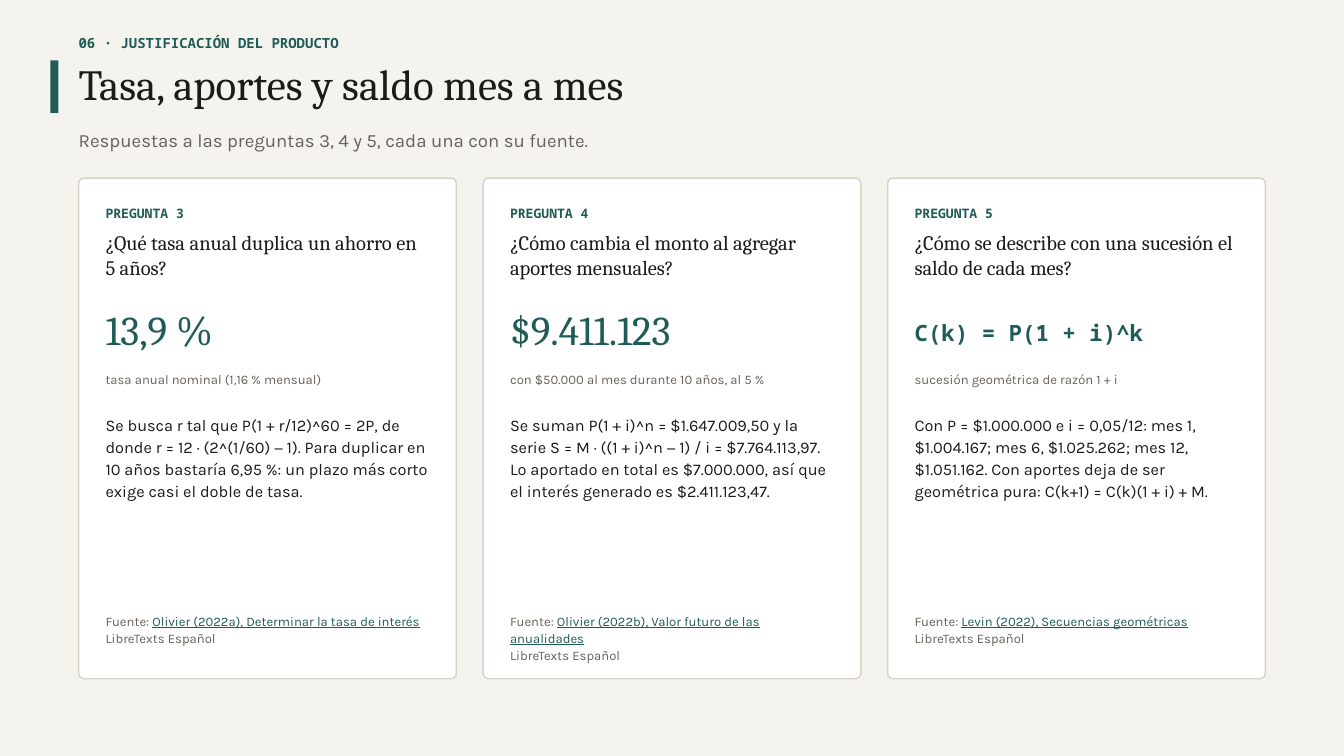
from pptx import Presentation
from pptx.dml.color import RGBColor
from pptx.enum.shapes import MSO_SHAPE
from pptx.enum.text import MSO_ANCHOR, MSO_AUTO_SIZE, PP_ALIGN
from pptx.util import Inches, Pt

COLORS = {
    "paper": "F5F3EE",
    "card": "FFFFFF",
    "border": "D7D1C7",
    "green": "1F5C57",
    "ink": "1C1B19",
    "gray": "66615B",
}

STYLES = {
    "kicker": ({"name": "Noto Sans Mono", "size": Pt(15), "bold": True}, "green", 1.12),
    "title": ({"name": "Cambria", "size": Pt(46)}, "ink", 1.0),
    "subtitle": ({"name": "Karla", "size": Pt(20)}, "gray", 1.15),
    "label": ({"name": "Noto Sans Mono", "size": Pt(14), "bold": True}, "green", 1.12),
    "question": ({"name": "Cambria", "size": Pt(22)}, "ink", 1.02),
    "figure": ({"name": "Cambria", "size": Pt(44)}, "green", 1.0),
    "formula": ({"name": "Noto Sans Mono", "size": Pt(24), "bold": True}, "green", 1.12),
    "caption": ({"name": "Karla", "size": Pt(14)}, "gray", 1.12),
    "body": ({"name": "Karla", "size": Pt(17.5)}, "ink", 1.12),
    "source": ({"name": "Karla", "size": Pt(14)}, "gray", 1.1),
    "citation": ({"name": "Karla", "size": Pt(14), "underline": True}, "green", 1.1),
}

CARD_LEFT, CARD_TOP, CARD_W, CARD_H = 1.17, 2.65, 5.62, 7.45
CARD_GAP, CARD_PAD = 0.4, 0.4

CARDS = [
    {
        "label": "PREGUNTA 3",
        "question": "¿Qué tasa anual duplica un ahorro en 5 años?",
        "figure": "13,9 %",
        "caption": "tasa anual nominal (1,16 % mensual)",
        "body": "Se busca r tal que P(1 + r/12)^60 = 2P, de donde r = 12 · (2^(1/60) − 1). "
                "Para duplicar en 10 años bastaría 6,95 %: un plazo más corto exige casi "
                "el doble de tasa.",
        "citation": "Olivier (2022a), Determinar la tasa de interés",
    },
    {
        "label": "PREGUNTA 4",
        "question": "¿Cómo cambia el monto al agregar aportes mensuales?",
        "figure": "$9.411.123",
        "caption": "con $50.000 al mes durante 10 años, al 5 %",
        "body": "Se suman P(1 + i)^n = $1.647.009,50 y la serie "
                "S = M · ((1 + i)^n − 1) / i = $7.764.113,97. Lo aportado en total es "
                "$7.000.000, así que el interés generado es $2.411.123,47.",
        "citation": "Olivier (2022b), Valor futuro de las anualidades",
    },
    {
        "label": "PREGUNTA 5",
        "question": "¿Cómo se describe con una sucesión el saldo de cada mes?",
        "formula": "C(k) = P(1 + i)^k",
        "caption": "sucesión geométrica de razón 1 + i",
        "body": "Con P = $1.000.000 e i = 0,05/12: mes 1, $1.004.167; mes 6, $1.025.262; "
                "mes 12, $1.051.162. Con aportes deja de ser geométrica pura: "
                "C(k+1) = C(k)(1 + i) + M.",
        "citation": "Levin (2022), Secuencias geométricas",
    },
]

CARD_ROWS = {
    "label": (3.03, 0.3),
    "question": (3.41, 1),
    "figure": (4.53, 0.85),
    "formula": (4.7, 0.7),
    "caption": (5.5, 0.55),
    "body": (6.15, 2.7),
}


def rgb(name):
    return RGBColor.from_string(COLORS[name])


def set_text(sp, paragraphs):
    tf = sp.text_frame
    frame = {
        "word_wrap": True,
        "auto_size": MSO_AUTO_SIZE.NONE,
        "vertical_anchor": MSO_ANCHOR.TOP,
        "margin_left": 0,
        "margin_top": 0,
        "margin_right": 0,
        "margin_bottom": 0,
    }
    for key, value in frame.items():
        setattr(tf, key, value)
    for i, runs in enumerate(paragraphs):
        p = tf.add_paragraph() if i else tf.paragraphs[0]
        p.alignment = PP_ALIGN.LEFT
        for text, style in runs:
            font, color, spacing = STYLES[style]
            p.line_spacing = spacing
            r = p.add_run()
            r.text = text
            for key, value in font.items():
                setattr(r.font, key, value)
            r.font.color.rgb = rgb(color)


def add_text(s, box, paragraphs):
    set_text(s.shapes.add_textbox(*map(Inches, box)), paragraphs)


def add_title(s, box, text):
    sp = s.shapes.title
    sp.left, sp.top, sp.width, sp.height = map(Inches, box)
    set_text(sp, [[(text, "title")]])


def add_panel(s, kind, box, fill, line=None):
    sp = s.shapes.add_shape(kind, *map(Inches, box))
    sp.shadow.inherit = False
    sp.fill.solid()
    sp.fill.fore_color.rgb = rgb(fill)
    if line:
        sp.line.color.rgb = rgb(line)
        sp.line.width = Pt(1.5)
    else:
        sp.line.fill.background()
    return sp


def add_card(s, left, card):
    box = (left, CARD_TOP, CARD_W, CARD_H)
    sp = add_panel(s, MSO_SHAPE.ROUNDED_RECTANGLE, box, "card", "border")
    sp.adjustments[0] = 0.014
    x, width = left + CARD_PAD, CARD_W - 2 * CARD_PAD
    for style, (top, height) in CARD_ROWS.items():
        if style in card:
            add_text(s, (x, top, width, height), [[(card[style], style)]])
    add_text(s, (x, 9.1, width, 0.6), [
        [("Fuente: ", "source"), (card["citation"], "citation")],
        [("LibreTexts Español", "source")],
    ])


def main():
    prs = Presentation()
    prs.slide_width, prs.slide_height = Inches(20), Inches(11.25)
    s = prs.slides.add_slide(prs.slide_layouts[5])
    s.background.fill.solid()
    s.background.fill.fore_color.rgb = rgb("paper")

    add_text(s, (CARD_LEFT, 0.48, 14, 0.3), [[("06 · JUSTIFICACIÓN DEL PRODUCTO", "kicker")]])
    add_panel(s, MSO_SHAPE.RECTANGLE, (0.75, 0.9, 0.12, 0.78), "green")
    add_title(s, (CARD_LEFT, 0.86, 17.66, 0.85), "Tasa, aportes y saldo mes a mes")
    add_text(s, (CARD_LEFT, 1.86, 17.66, 0.75),
             [[("Respuestas a las preguntas 3, 4 y 5, cada una con su fuente.", "subtitle")]])
    for i, card in enumerate(CARDS):
        add_card(s, CARD_LEFT + i * (CARD_W + CARD_GAP), card)

    prs.save("out.pptx")


if __name__ == "__main__":
    main()
